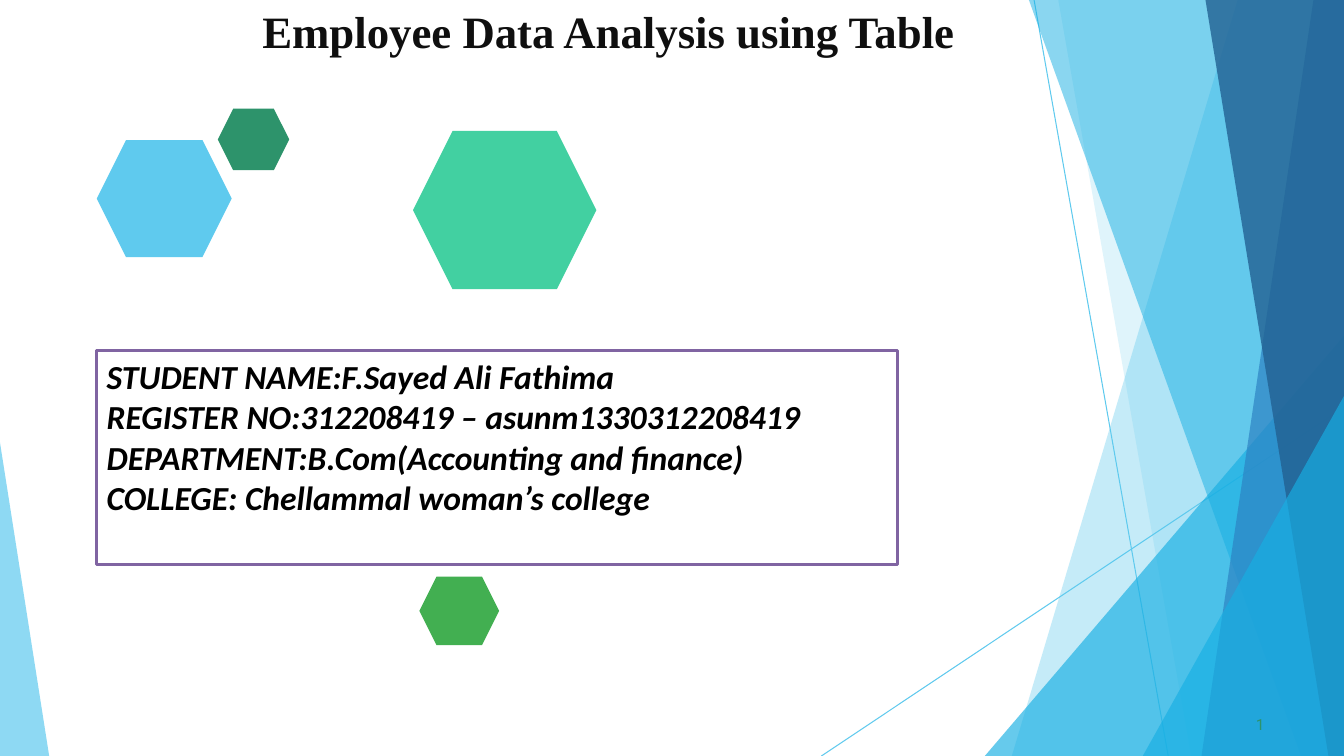
import pptx
import pptx.dml.color
import pptx.enum.shapes
import pptx.enum.text
import pptx.oxml
import pptx.oxml.ns
import pptx.util
from dataclasses import dataclass

Cm = pptx.util.Cm
Pt = pptx.util.Pt
WIDTH, HEIGHT = 33.87, 19.05


@dataclass(frozen=True)
class Theme:
    sky: str = "5FCAEE"
    cyan: str = "17AFE3"
    blue: str = "2D83C3"
    navy: str = "226192"
    sea: str = "2D936B"
    mint: str = "42D0A1"
    leaf: str = "42AF51"
    purple: str = "8064A2"
    white: str = "FFFFFF"
    ink: str = "0F0F0F"
    black: str = "000000"
    title_font: str = "Times New Roman"
    body_font: str = "Calibri"
    number_font: str = "Roboto"
    title_size: int = 32
    body_size: int = 24
    number_size: int = 11


THEME = Theme()

RAYS = [
    ((26.06, 0), (29.44, HEIGHT)),
    ((WIDTH, 10.26), (20.7, HEIGHT)),
]

FACETS = [
    ([(WIDTH, 0), (31.19, 0), (25.5, HEIGHT), (WIDTH, HEIGHT)], THEME.sky, 36),
    ([(WIDTH, 0), (26.67, 0), (30.02, HEIGHT), (WIDTH, HEIGHT)], THEME.sky, 20),
    ([(WIDTH, 8.46), (24.82, HEIGHT), (WIDTH, HEIGHT)], THEME.cyan, 66),
    ([(WIDTH, 0), (25.93, 0), (32.79, HEIGHT), (WIDTH, HEIGHT)], THEME.cyan, 50),
    ([(WIDTH, 0), (33.1, 0), (30.28, HEIGHT), (WIDTH, HEIGHT)], THEME.blue, 70),
    ([(WIDTH, 0), (30.38, 0), (33.48, HEIGHT), (WIDTH, HEIGHT)], THEME.navy, 80),
    ([(WIDTH, 9.98), (28.8, HEIGHT), (WIDTH, HEIGHT)], THEME.cyan, 66),
    ([(0, 11.15), (0, HEIGHT), (1.24, HEIGHT)], THEME.sky, 70),
]

HEXAGONS = [
    ((2.44, 3.53, 3.4, 2.95), THEME.sky),
    ((5.49, 2.74, 1.8, 1.55), THEME.sea),
    ((10.41, 3.3, 4.62, 3.99), THEME.mint),
    ((10.57, 14.53, 2.01, 1.73), THEME.leaf),
]

DETAILS = [
    "STUDENT NAME:F.Sayed Ali Fathima",
    "REGISTER NO:312208419 – asunm1330312208419",
    "DEPARTMENT:B.Com(Accounting and finance)",
    "COLLEGE: Chellammal woman’s college",
]


def rgb(color):
    return pptx.dml.color.RGBColor.from_string(color)


def box(values):
    return [Cm(v) for v in values]


def fill_shape(sp, color):
    sp.shadow.inherit = False
    sp.fill.solid()
    sp.fill.fore_color.rgb = rgb(color)
    sp.line.fill.background()


def add_ray(s, start, end):
    line = s.shapes.add_connector(
        pptx.enum.shapes.MSO_CONNECTOR.STRAIGHT, *box(start + end))
    line.line.color.rgb = rgb(THEME.sky)
    line.line.width = Pt(0.75)
    line._element.spPr.append(pptx.oxml.parse_xml(
        "<a:effectLst %s/>" % pptx.oxml.ns.nsdecls("a")))


def add_facet(s, points, color, opacity):
    corners = [box(point) for point in points]
    builder = s.shapes.build_freeform(*corners[0])
    builder.add_line_segments(corners[1:], close=True)
    sp = builder.convert_to_shape()
    fill_shape(sp, color)
    fill_color = sp._element.spPr.find(".//" + pptx.oxml.ns.qn("a:srgbClr"))
    fill_color.append(pptx.oxml.parse_xml(
        '<a:alpha %s val="%d"/>' % (pptx.oxml.ns.nsdecls("a"), opacity * 1000)))


def add_hexagon(s, bounds, color):
    sp = s.shapes.add_shape(
        pptx.enum.shapes.MSO_SHAPE.HEXAGON, *box(bounds))
    fill_shape(sp, color)


def set_frame(tf, margins):
    tf.word_wrap = True
    tf.auto_size = pptx.enum.text.MSO_AUTO_SIZE.NONE
    tf.vertical_anchor = pptx.enum.text.MSO_ANCHOR.TOP
    tf.margin_left, tf.margin_top, tf.margin_right, tf.margin_bottom = box(margins)


def format_text(tf, font, size, color, bold=False, italic=False, before=0):
    for p in tf.paragraphs:
        p.alignment = pptx.enum.text.PP_ALIGN.LEFT
        p.space_before = Pt(before)
        for r in p.runs:
            r.font.name = font
            r.font.size = Pt(size)
            r.font.color.rgb = rgb(color)
            r.font.bold = bold
            r.font.italic = italic


def set_title(s, text):
    sp = s.shapes.title
    sp.left, sp.top, sp.width, sp.height = box((-2.31, 0.05, 27.74, 2.79))
    tf = sp.text_frame
    tf.text = text
    set_frame(tf, (8.92, 0.05, 0, 0))
    format_text(tf, THEME.title_font, THEME.title_size, THEME.ink,
                bold=True, before=1.3)


def add_page_number(s, text):
    tf = s.shapes.add_textbox(*box((31.55, 17.98, 0.43, 0.53))).text_frame
    tf.text = text
    set_frame(tf, (0.1, 0.03, 0, 0))
    format_text(tf, THEME.number_font, THEME.number_size, THEME.sea, before=0.6)


def add_details(s, lines):
    sp = s.shapes.add_shape(
        pptx.enum.shapes.MSO_SHAPE.RECTANGLE, *box((2.44, 8.84, 20.19, 5.38)))
    fill_shape(sp, THEME.white)
    sp.line.color.rgb = rgb(THEME.purple)
    sp.line.width = Pt(2)
    tf = sp.text_frame
    tf.text = "\n".join(lines)
    set_frame(tf, (0.25, 0.13, 0.25, 0.13))
    format_text(tf, THEME.body_font, THEME.body_size, THEME.black,
                bold=True, italic=True)


def main():
    prs = pptx.Presentation()
    prs.slide_width, prs.slide_height = box((WIDTH, HEIGHT))
    s = prs.slides.add_slide(prs.slide_layouts.get_by_name("Title Only"))
    for start, end in RAYS:
        add_ray(s, start, end)
    for points, color, opacity in FACETS:
        add_facet(s, points, color, opacity)
    for bounds, color in HEXAGONS:
        add_hexagon(s, bounds, color)
    set_title(s, "Employee Data Analysis using Table")
    add_page_number(s, "1")
    add_details(s, DETAILS)
    prs.save("out.pptx")


if __name__ == "__main__":
    main()
